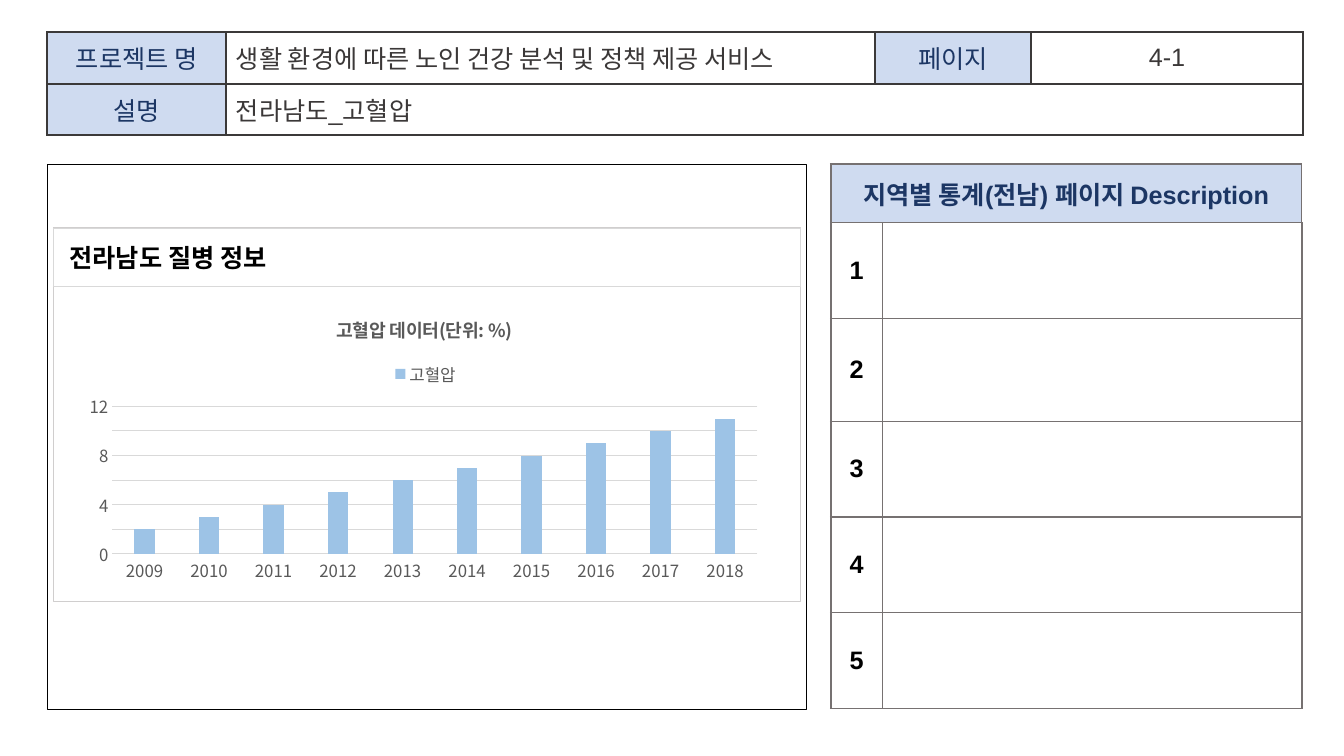
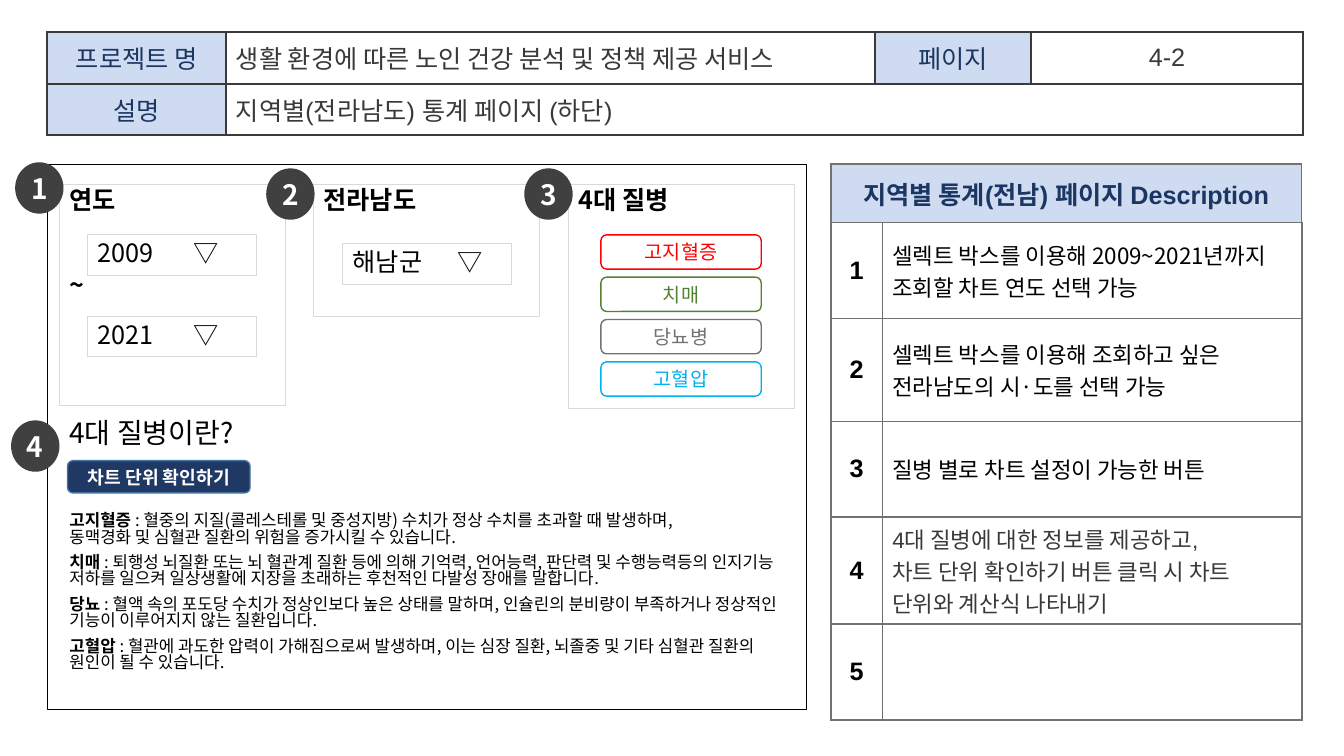
from copy import deepcopy

from lxml import etree
from pptx import Presentation
from pptx.chart.data import CategoryChartData
from pptx.dml.color import RGBColor
from pptx.enum.chart import XL_CHART_TYPE, XL_LEGEND_POSITION, XL_TICK_MARK
from pptx.enum.shapes import MSO_SHAPE
from pptx.enum.text import MSO_ANCHOR, PP_ALIGN
from pptx.oxml.ns import qn
from pptx.util import Inches, Pt

COLORS = {
    "black": "000000", "white": "FFFFFF", "navy": "1C3664", "pale blue": "CFDBF0",
    "ink": "3B3838", "header line": "3B3939", "gray": "767171", "light gray": "D9D9D9",
    "panel line": "D0CECE", "axis text": "595959", "bar": "9DC3E6", "badge": "404040",
    "button": "203864", "button line": "43739E", "red": "FF0000", "green": "548235",
    "sky": "00B0F0",
}
LATIN, KOREAN = "Arial", "Noto Sans CJK KR"
TIGHT = 0.83  # line spacing of the mock-up texts

PROJECT = "생활 환경에 따른 노인 건강 분석 및 정책 제공 서비스"
DESCRIPTION_TITLE = "지역별 통계(전남) 페이지 Description"
HEADER_COLUMNS = [1.77, 6.44, 1.55, 2.69]
HEADER_ROWS = [0.51, 0.51]
DESCRIPTION_COLUMNS = [0.51, 4.16]
DESCRIPTION_ROWS = [0.58, 0.95, 1.02, 0.95, 0.95, 0.95]

CHART_HEADING = "전라남도 질병 정보"
CHART_TITLE = "고혈압 데이터(단위: %)"
CHART_SERIES = "고혈압"
YEARS = [str(year) for year in range(2009, 2019)]
RATES = [2, 3, 4, 5, 6, 7, 8, 9, 10, 11]

# Lines, font and colour of each note in the description table
NOTES = [
    (["셀렉트 박스를 이용해 2009~2021년까지 조회할 차트 연도 선택 가능"], KOREAN, "black"),
    (["셀렉트 박스를 이용해 조회하고 싶은 전라남도의 시·도를 선택 가능"], KOREAN, "black"),
    (["질병 별로 차트 설정이 가능한 버튼"], KOREAN, "black"),
    (["4대 질병에 대한 정보를 제공하고,",
      "차트 단위 확인하기 버튼 클릭 시 차트 단위와 계산식 나타내기"], LATIN, "ink"),
]
FILTER_PANELS = [  # left, height, lines
    (0.59, 2.19, ["연도", "~"]),
    (3.11, 1.31, ["전라남도"]),
    (5.64, 2.22, ["4대 질병"]),
]
SELECT_BOXES = [  # left, top, value, position of the arrow
    (0.87, 2.33, "2009", 0.95),
    (0.87, 3.14, "2021", 0.95),
    (3.40, 2.42, "해남군", 1.04),
]
DISEASE_BUTTONS = [("고지혈증", "red"), ("치매", "green"), ("당뇨병", "gray"), ("고혈압", "sky")]
BADGES = [("1", 0.15, 1.61), ("2", 2.64, 1.67), ("3", 5.20, 1.67), ("4", 0.11, 4.17)]
INFO_TITLE = "4대 질병이란?"
INFO_BUTTON = "차트 단위 확인하기"
DEFINITIONS = [
    ("고지혈증", ["혈중의 지질(콜레스테롤 및 중성지방) 수치가 정상 수치를 초과할 때 발생하며,",
              "동맥경화 및 심혈관 질환의 위험을 증가시킬 수 있습니다."]),
    ("치매", ["퇴행성 뇌질환 또는 뇌 혈관계 질환 등에 의해 기억력, 언어능력, 판단력 및 수행능력등의 "
            "인지기능 저하를 일으켜 일상생활에 지장을 초래하는 후천적인 다발성 장애를 말합니다."]),
    ("당뇨", ["혈액 속의 포도당 수치가 정상인보다 높은 상태를 말하며, 인슐린의 분비량이 부족하거나 "
            "정상적인 기능이 이루어지지 않는 질환입니다."]),
    ("고혈압", ["혈관에 과도한 압력이 가해짐으로써 발생하며, 이는 심장 질환, 뇌졸중 및 기타 심혈관 "
             "질환의 원인이 될 수 있습니다."]),
]


def color(name):
    return RGBColor.from_string(COLORS[name])


def set_font(font, size, color_name, bold=False, name=KOREAN):
    font.size, font.bold, font.name = Pt(size), bold, name
    font.color.rgb = color(color_name)


def add_run(paragraph, text, size, color_name="black", bold=False, name=KOREAN):
    run = paragraph.add_run()
    run.text = text
    set_font(run.font, size, color_name, bold, name)
    etree.SubElement(run._r.get_or_add_rPr(), qn("a:ea")).set("typeface", KOREAN)


def write(frame, lines, size, color_name="black", bold=False, name=KOREAN,
          align=PP_ALIGN.LEFT, spacing=None):
    """Write one paragraph per line and return the paragraphs."""
    paragraphs = []
    for index, line in enumerate(lines):
        paragraph = frame.add_paragraph() if index else frame.paragraphs[0]
        paragraph.alignment = align
        if spacing:
            paragraph.line_spacing = spacing
        add_run(paragraph, line, size, color_name, bold, name)
        paragraphs.append(paragraph)
    return paragraphs


def add_box(slide, at, line=None, width=1, fill=None, kind=MSO_SHAPE.RECTANGLE,
            anchor=MSO_ANCHOR.MIDDLE):
    shape = slide.shapes.add_shape(kind, *map(Inches, at))
    shape.shadow.inherit = False
    if fill:
        shape.fill.solid()
        shape.fill.fore_color.rgb = color(fill)
    else:
        shape.fill.background()
    if line:
        shape.line.color.rgb = color(line)
        shape.line.width = Pt(width)
    else:
        shape.line.fill.background()
    shape.text_frame.word_wrap = True
    shape.text_frame.vertical_anchor = anchor
    return shape


def add_text_box(slide, at):
    frame = slide.shapes.add_textbox(*map(Inches, at)).text_frame
    frame.word_wrap = True
    return frame


def add_grid(slide, left, top, columns, rows, line, inner_width):
    """Add a white table with 1.5 pt outer borders and return it."""
    table = slide.shapes.add_table(
        len(rows), len(columns), Inches(left), Inches(top),
        Inches(sum(columns)), Inches(sum(rows))).table
    table.first_row = table.horz_banding = False
    for column, width in zip(table.columns, columns):
        column.width = Inches(width)
    for row, height in zip(table.rows, rows):
        row.height = Inches(height)
    for i in range(len(rows)):
        for j in range(len(columns)):
            cell = table.cell(i, j)
            cell.vertical_anchor = MSO_ANCHOR.MIDDLE
            fill_cell(cell, "white")
            outer = {"L": j == 0, "R": j == len(columns) - 1,
                     "T": i == 0, "B": i == len(rows) - 1}
            properties = cell._tc.get_or_add_tcPr()
            for position, (side, is_outer) in enumerate(outer.items()):
                border = etree.Element(qn("a:ln" + side))
                border.set("w", str(Pt(1.5 if is_outer else inner_width)))
                solid = etree.SubElement(border, qn("a:solidFill"))
                etree.SubElement(solid, qn("a:srgbClr")).set("val", COLORS[line])
                properties.insert(position, border)
    return table


def fill_cell(cell, fill):
    cell.fill.solid()
    cell.fill.fore_color.rgb = color(fill)


def add_header(slide, page, summary):
    table = add_grid(slide, 0.47, 0.32, HEADER_COLUMNS, HEADER_ROWS, "header line", 1.5)
    table.cell(1, 1).merge(table.cell(1, 3))
    for i, j, text in [(0, 0, "프로젝트 명"), (0, 2, "페이지"), (1, 0, "설명")]:
        fill_cell(table.cell(i, j), "pale blue")
        write(table.cell(i, j).text_frame, [text], 18, "navy", name=LATIN, align=PP_ALIGN.CENTER)
    for i, j, text, align in [(0, 1, PROJECT, PP_ALIGN.LEFT), (0, 3, page, PP_ALIGN.CENTER),
                              (1, 1, summary, PP_ALIGN.LEFT)]:
        write(table.cell(i, j).text_frame, [text], 18, "ink", name=LATIN, align=align)


def add_description(slide, notes):
    table = add_grid(slide, 8.24, 1.63, DESCRIPTION_COLUMNS, DESCRIPTION_ROWS, "gray", 1)
    title = table.cell(0, 0)
    title.merge(table.cell(0, 1))
    fill_cell(title, "pale blue")
    write(title.text_frame, [DESCRIPTION_TITLE], 18, "navy", True, LATIN, PP_ALIGN.CENTER)
    for number in range(1, len(DESCRIPTION_ROWS)):
        write(table.cell(number, 0).text_frame, [str(number)], 18, "black", True, LATIN,
              PP_ALIGN.CENTER)
    for number, (lines, name, color_name) in enumerate(notes, start=1):
        write(table.cell(number, 1).text_frame, lines, 16, color_name, name=name)


def add_page(presentation, page, summary, notes=()):
    """Add a slide with the parts that every page shares."""
    slide = presentation.slides.add_slide(presentation.slide_layouts[6])
    add_box(slide, (0.47, 1.63, 7.53, 5.41), "black", 0.75)
    add_description(slide, notes)
    add_header(slide, page, summary)
    return slide


def place(parent, index, **position):
    """Give a chart part a fixed layout, as fractions of the chart."""
    for old in parent.findall(qn("c:layout")):
        parent.remove(old)
    layout = etree.Element(qn("c:layout"))
    manual = etree.SubElement(layout, qn("c:manualLayout"))
    if "w" in position:
        etree.SubElement(manual, qn("c:layoutTarget")).set("val", "inner")
    for tag in ("xMode", "yMode"):
        etree.SubElement(manual, qn("c:" + tag)).set("val", "edge")
    for tag, value in position.items():
        etree.SubElement(manual, qn("c:" + tag)).set("val", str(value))
    parent.insert(index, layout)


def add_rate_chart(slide):
    data = CategoryChartData()
    data.categories = YEARS
    data.add_series(CHART_SERIES, RATES)
    chart = slide.shapes.add_chart(XL_CHART_TYPE.COLUMN_CLUSTERED,
                                   *map(Inches, (0.77, 2.97, 6.88, 2.87)), data).chart
    set_font(chart.font, 12, "axis text")
    chart.has_title = True
    add_run(chart.chart_title.text_frame.paragraphs[0], CHART_TITLE, 13, "axis text", True)

    chart.has_legend = True
    chart.legend.position = XL_LEGEND_POSITION.TOP
    chart.legend.include_in_layout = False
    set_font(chart.legend.font, 12, "axis text")
    place(chart.legend._element, 1, x=0.45, y=0.2)
    place(chart._chartSpace.chart.plotArea, 0, x=0.05, y=0.37, w=0.93, h=0.51)

    plot = chart.plots[0]
    plot.vary_by_categories = False
    plot.gap_width, plot.overlap = 219, -27
    bar_fill = plot.series[0].format.fill
    bar_fill.solid()
    bar_fill.fore_color.rgb = color("bar")

    values, categories = chart.value_axis, chart.category_axis
    values.minimum_scale, values.maximum_scale = 0, 12
    values.major_unit, values.minor_unit = 4, 2
    values.has_major_gridlines = values.has_minor_gridlines = True
    values.format.line.fill.background()
    for line in (values.major_gridlines.format.line, categories.format.line):
        line.color.rgb = color("light gray")
        line.width = Pt(0.75)
    major, minor = (values._element.find(qn(tag))
                    for tag in ("c:majorGridlines", "c:minorGridlines"))
    minor.append(deepcopy(major.find(qn("c:spPr"))))
    for axis in (values, categories):
        axis.major_tick_mark = axis.minor_tick_mark = XL_TICK_MARK.NONE
        set_font(axis.tick_labels.font, 12, "axis text")


def build_chart_page(presentation):
    slide = add_page(presentation, "4-1", "전라남도_고혈압")
    add_box(slide, (0.53, 2.26, 7.41, 3.71), "panel line")
    heading = add_box(slide, (0.53, 2.27, 7.41, 0.57), "light gray").text_frame
    heading.margin_left = Inches(0.16)
    write(heading, [CHART_HEADING], 18, bold=True, name=LATIN)
    add_rate_chart(slide)


def add_filters(slide):
    for left, height, lines in FILTER_PANELS:
        panel = add_box(slide, (left, 1.83, 2.24, height), "light gray", 0.75,
                        anchor=MSO_ANCHOR.TOP)
        for paragraph in write(panel.text_frame, lines, 18, bold=True, spacing=TIGHT)[1:]:
            paragraph.space_before = Pt(43)
    for left, top, value, arrow in SELECT_BOXES:
        box = add_box(slide, (left, top, 1.67, 0.4), "light gray", 0.75)
        paragraph = write(box.text_frame, [value + "\t▽"], 18, spacing=TIGHT)[0]
        tabs = etree.SubElement(paragraph._p.get_or_add_pPr(), qn("a:tabLst"))
        tab = etree.SubElement(tabs, qn("a:tab"))
        tab.set("pos", str(Inches(arrow)))
        tab.set("algn", "l")
    for index, (disease, color_name) in enumerate(DISEASE_BUTTONS):
        button = add_box(slide, (5.96, 2.33 + 0.42 * index, 1.59, 0.34), color_name,
                         kind=MSO_SHAPE.ROUNDED_RECTANGLE)
        write(button.text_frame, [disease], 14, color_name, align=PP_ALIGN.CENTER)


def add_disease_info(slide):
    write(add_text_box(slide, (0.59, 4.13, 7.29, 0.43)), [INFO_TITLE], 20, spacing=TIGHT)
    button = add_box(slide, (0.67, 4.57, 1.81, 0.32), "button line", fill="button",
                     kind=MSO_SHAPE.ROUNDED_RECTANGLE)
    write(button.text_frame, [INFO_BUTTON], 13, "white", True, align=PP_ALIGN.CENTER)
    frame = add_text_box(slide, (0.59, 5.04, 7.29, 1.97))
    terms = [term + " " for term, _ in DEFINITIONS]
    paragraphs = write(frame, terms, 12, bold=True, spacing=TIGHT)
    for index, (paragraph, (_, lines)) in enumerate(zip(paragraphs, DEFINITIONS)):
        paragraph.space_before = Pt(6 if index else 0)
        add_run(paragraph, ": " + lines[0], 12)
        for line in lines[1:]:
            paragraph.add_line_break()
            add_run(paragraph, line, 12)


def build_filter_page(presentation):
    slide = add_page(presentation, "4-2", "지역별(전라남도) 통계 페이지 (하단)", NOTES)
    add_disease_info(slide)
    add_filters(slide)
    for number, left, top in BADGES:
        frame = add_box(slide, (left, top, 0.48, 0.51), fill="badge",
                        kind=MSO_SHAPE.OVAL).text_frame
        frame.margin_left = frame.margin_right = frame.margin_top = frame.margin_bottom = 0
        write(frame, [number], 20, "white", True, align=PP_ALIGN.CENTER)


def main():
    presentation = Presentation()
    presentation.slide_width, presentation.slide_height = Inches(13.33), Inches(7.5)
    build_chart_page(presentation)
    build_filter_page(presentation)
    presentation.save("out.pptx")


if __name__ == "__main__":
    main()
